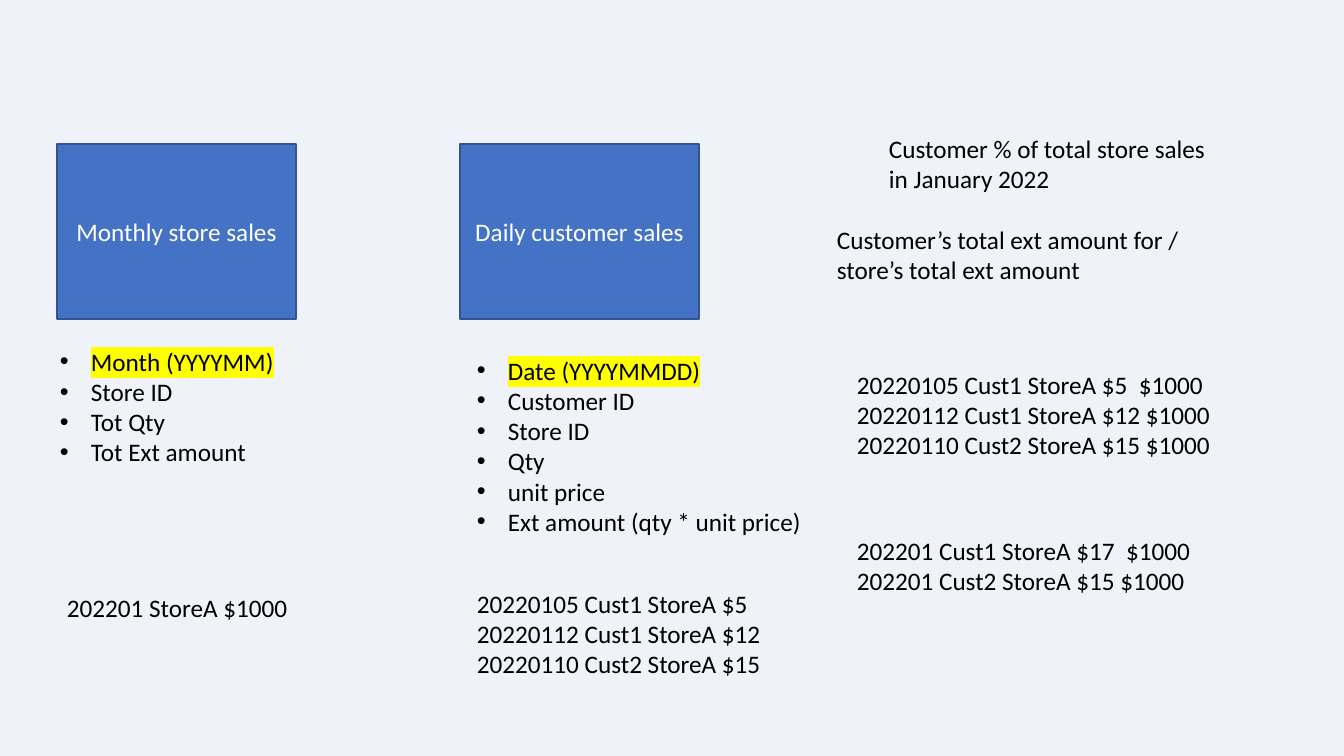
from lxml.etree import SubElement
from pptx import Presentation
from pptx.dml.color import RGBColor
from pptx.enum.shapes import MSO_SHAPE
from pptx.enum.text import MSO_ANCHOR, MSO_AUTO_SIZE, PP_ALIGN
from pptx.oxml.ns import qn
from pptx.util import Pt

# Content: (left, top, width, height) in px, then the text
CARDS = [
    (57, 144, "Monthly store sales"),
    (460, 144, "Daily customer sales"),
]
# The first field of each list is the highlighted date key
FIELDS = [
    ((50, 341, 397, 132),
     ["Month (YYYYMM)", "Store ID", "Tot Qty", "Tot Ext amount"]),
    ((467, 350, 397, 194),
     ["Date (YYYYMMDD)", "Customer ID", "Store ID", "Qty", "unit price",
      "Ext amount (qty * unit price)"]),
]
NOTES = [
    ((879, 128, 343, 72), ["Customer % of total store sales in January 2022"]),
    ((827, 219, 378, 72),
     ["Customer’s total ext amount for / store’s total ext amount"]),
    ((57, 587, 266, 40), ["202201 StoreA $1000"]),
    ((467, 583, 373, 132),
     ["20220105 Cust1 StoreA $5", "20220112 Cust1 StoreA $12",
      "20220110 Cust2 StoreA $15"]),
    ((847, 364, 520, 132),
     ["20220105 Cust1 StoreA $5  $1000", "20220112 Cust1 StoreA $12 $1000",
      "20220110 Cust2 StoreA $15 $1000"]),
    ((847, 530, 520, 102),
     ["202201 Cust1 StoreA $17  $1000", "202201 Cust2 StoreA $15 $1000"]),
]

# Style
BACKGROUND = RGBColor(0xF0, 0xF2, 0xFA)
BLUE = RGBColor(0x44, 0x72, 0xC4)
OUTLINE = RGBColor(0x32, 0x54, 0x91)
WHITE = RGBColor(0xFF, 0xFF, 0xFF)
BLACK = RGBColor(0, 0, 0)
YELLOW = RGBColor(0xFF, 0xFF, 0)
FONT = {"name": "Calibri", "size": Pt(18)}
CARD_W, CARD_H = 239, 175
INDENT = 31
PX_PER_INCH = 100.8


def px(n):
    return round(n * 914400 / PX_PER_INCH)


def add_text(p, text, color):
    r = p.add_run()
    r.text = text
    for key, value in FONT.items():
        setattr(r.font, key, value)
    r.font.color.rgb = color
    return r


def add_bullet(p):
    pPr = p._p.get_or_add_pPr()
    pPr.set("marL", str(px(INDENT)))
    pPr.set("indent", str(-px(INDENT)))
    SubElement(pPr, qn("a:buFont"), typeface="Arial")
    SubElement(pPr, qn("a:buChar"), char="•")


def highlight(r):
    mark = SubElement(r._r.rPr, qn("a:highlight"))
    SubElement(mark, qn("a:srgbClr"), val=str(YELLOW))
    r._r.rPr.find(qn("a:solidFill")).addnext(mark)


def add_lines(s, box, lines, bulleted=False):
    tf = s.shapes.add_textbox(*map(px, box)).text_frame
    tf.word_wrap = True
    tf.auto_size = MSO_AUTO_SIZE.SHAPE_TO_FIT_TEXT
    for i, line in enumerate(lines):
        p = tf.add_paragraph() if i else tf.paragraphs[0]
        r = add_text(p, line, BLACK)
        if bulleted:
            add_bullet(p)
            if i == 0:
                highlight(r)


prs = Presentation()
prs.slide_width, prs.slide_height = px(1344), px(756)
s = prs.slides.add_slide(prs.slide_layouts[6])
s.background.fill.solid()
s.background.fill.fore_color.rgb = BACKGROUND

# Table cards
for left, top, title in CARDS:
    card = s.shapes.add_shape(MSO_SHAPE.RECTANGLE,
                              *map(px, (left, top, CARD_W, CARD_H)))
    card.shadow.inherit = False
    card.fill.solid()
    card.fill.fore_color.rgb = BLUE
    card.line.color.rgb = OUTLINE
    card.line.width = Pt(1)
    tf = card.text_frame
    tf.word_wrap = True
    tf.vertical_anchor = MSO_ANCHOR.MIDDLE
    tf.paragraphs[0].alignment = PP_ALIGN.CENTER
    add_text(tf.paragraphs[0], title, WHITE)

# Field lists under the cards
for box, fields in FIELDS:
    add_lines(s, box, fields, bulleted=True)

# Sample rows and formulas
for box, lines in NOTES:
    add_lines(s, box, lines)

prs.save("out.pptx")
